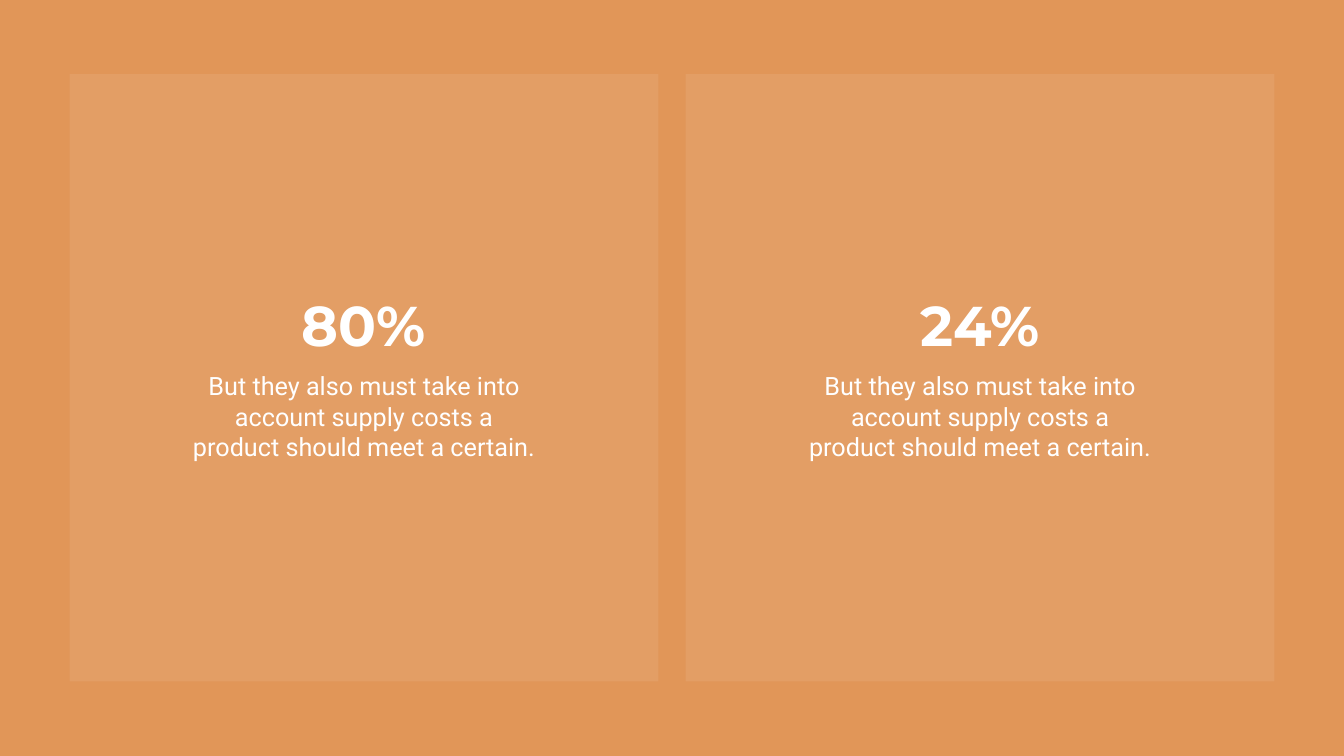
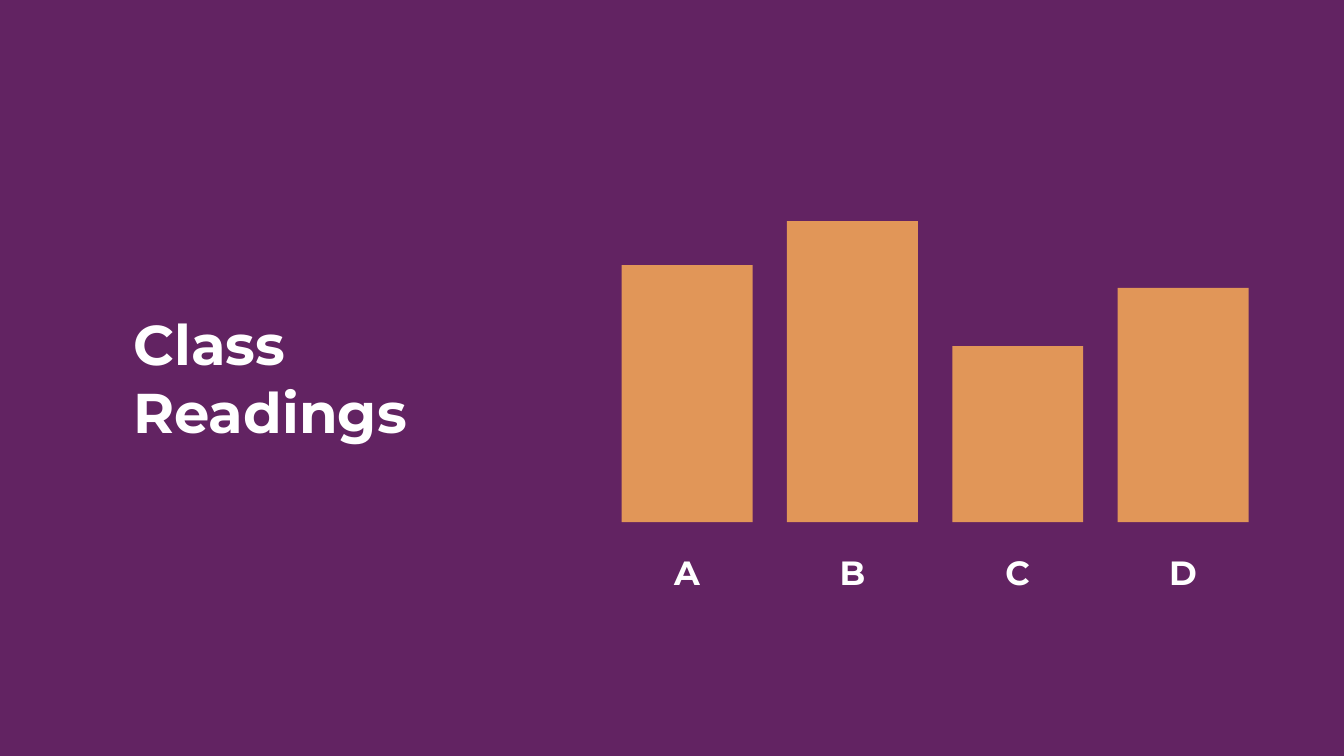
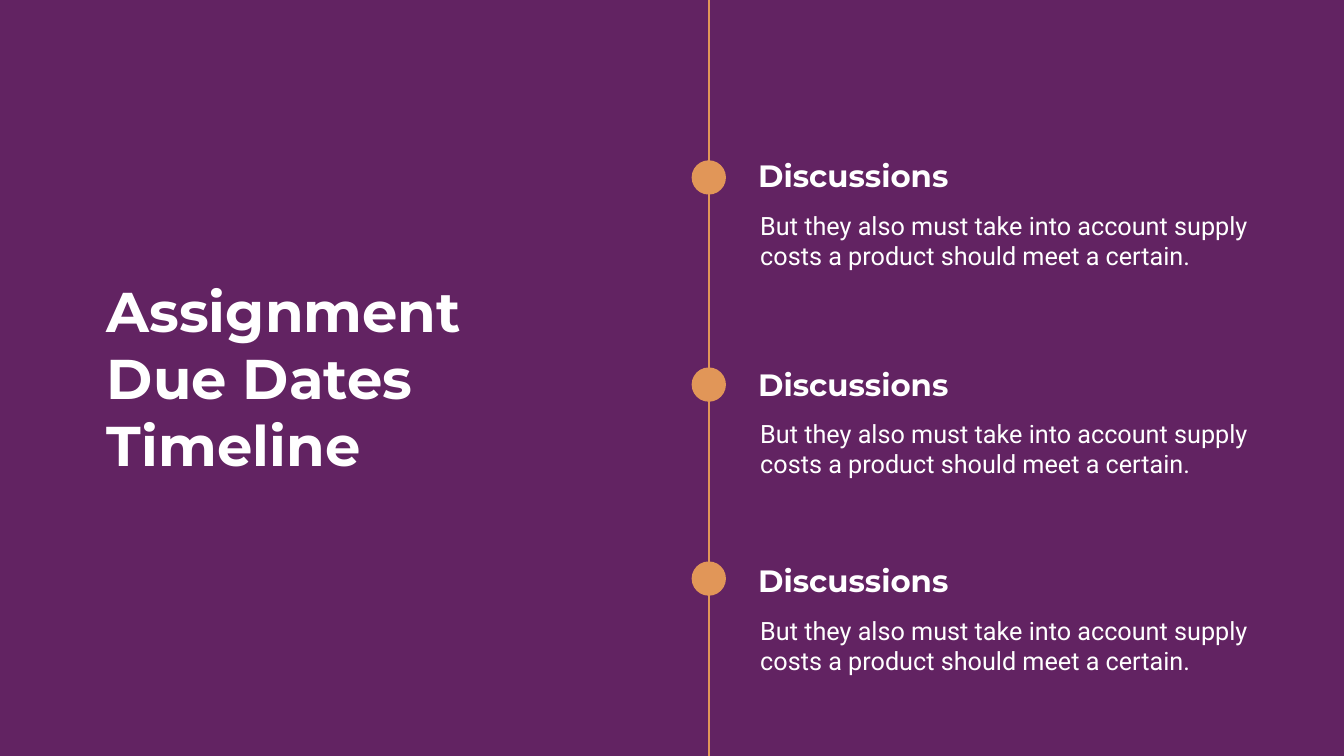
from dataclasses import dataclass

from lxml.etree import SubElement
from pptx import Presentation
from pptx.dml.color import RGBColor
from pptx.enum.shapes import MSO_CONNECTOR, MSO_SHAPE
from pptx.enum.text import MSO_ANCHOR, MSO_AUTO_SIZE, PP_ALIGN
from pptx.oxml.ns import qn
from pptx.util import Pt

W, H = 1919.52, 1080
TITLE_ONLY, BLANK = 5, 6
BLURB = ("But they also must take into account supply costs "
         "a product should meet a certain.")


@dataclass(frozen=True)
class Theme:
    orange: RGBColor = RGBColor(0xE1, 0x96, 0x58)
    purple: RGBColor = RGBColor(0x62, 0x23, 0x62)
    card: RGBColor = RGBColor(0xED, 0xC0, 0x9B)
    white: RGBColor = RGBColor(0xFF, 0xFF, 0xFF)
    head_font: str = "Montserrat"
    body_font: str = "Roboto"
    title: int = 80
    label: int = 48
    heading: int = 44
    body: int = 36
    body_leading: int = 43


T = Theme()


def new_slide(prs, color, layout):
    s = prs.slides.add_slide(prs.slide_layouts[layout])
    s.background.fill.solid()
    s.background.fill.fore_color.rgb = color
    return s


def write(tf, text, size, font=T.head_font, bold=True, align=PP_ALIGN.LEFT):
    tf.word_wrap = True
    tf.auto_size = MSO_AUTO_SIZE.NONE
    tf.vertical_anchor = MSO_ANCHOR.TOP
    p = tf.paragraphs[0]
    p.alignment = align
    r = p.add_run()
    r.text = text
    r.font.name, r.font.size, r.font.bold = font, Pt(size), bold
    r.font.color.rgb = T.white
    return p


def add_text(s, box, text, size, align=PP_ALIGN.LEFT):
    sp = s.shapes.add_textbox(*map(Pt, box))
    write(sp.text_frame, text, size, align=align)


def add_body(s, box, text, align=PP_ALIGN.LEFT):
    tf = s.shapes.add_textbox(*map(Pt, box)).text_frame
    tf.margin_left = tf.margin_right = Pt(17.28)
    tf.margin_top = tf.margin_bottom = Pt(8.64)
    p = write(tf, text, T.body, T.body_font, False, align)
    p.line_spacing = Pt(T.body_leading)


def add_title(s, box, text):
    sp = s.shapes.title
    sp.left, sp.top, sp.width, sp.height = map(Pt, box)
    write(sp.text_frame, text, T.title)


def add_solid(s, kind, box, color, alpha=None):
    sp = s.shapes.add_shape(kind, *map(Pt, box))
    sp.shadow.inherit = False
    sp.line.fill.background()
    sp.fill.solid()
    sp.fill.fore_color.rgb = color
    if alpha is not None:
        clr = sp.fill._xPr.find(".//" + qn("a:srgbClr"))
        SubElement(clr, qn("a:alpha"), val=str(alpha * 1000))


def stat_card(s, box, figure, text):
    x, y, w, _ = box
    figure_w, text_w = 579.6, 527
    add_solid(s, MSO_SHAPE.RECTANGLE, box, T.card, alpha=20)
    add_text(s, (x + (w - figure_w) / 2, y + 305.3, figure_w, 104.4),
             figure, T.title, PP_ALIGN.CENTER)
    add_body(s, (x + (w - text_w) / 2, y + 415.4, text_w, 147.6),
             text, PP_ALIGN.CENTER)


def stats_slide(prs):
    s = new_slide(prs, T.orange, BLANK)
    for i, figure in enumerate(("80%", "24%")):
        stat_card(s, (99.36 + i * 879.84, 105.84, 841, 867.6), figure, BLURB)


def bars(s, box, heights):
    """Bars stand on the bottom of the box, with their labels below it."""
    x, y, w, h = box
    bar_w, label_w = 187, 136
    pitch = (w - bar_w) / (len(heights) - 1)
    base = y + h
    for i, (label, bar_h) in enumerate(heights.items()):
        left = x + i * pitch
        add_solid(s, MSO_SHAPE.RECTANGLE,
                  (left, base - bar_h, bar_w, bar_h), T.orange)
        add_text(s, (left + (bar_w - label_w) / 2, base + 38.9, label_w, 65.5),
                 label, T.label, PP_ALIGN.CENTER)


def readings_slide(prs):
    s = new_slide(prs, T.purple, TITLE_ONLY)
    add_title(s, (182.9, 439.2, 501, 200.9), "Class Readings")
    bars(s, (887.76, 316.1, 895.5, 429.8),
         {"A": 367.2, "B": 429.8, "C": 251.3, "D": 334.8})


def timeline(s, box, entries):
    """Each entry gives the tops of its dot and heading, and its texts."""
    x, y, w, h = box
    dot = 49
    axis = x + dot / 2
    line = s.shapes.add_connector(MSO_CONNECTOR.STRAIGHT, Pt(axis), Pt(y),
                                  Pt(axis), Pt(y + h))
    line.line.color.rgb = T.orange
    line.line.width = Pt(3)
    SubElement(line._element.spPr, qn("a:effectLst"))
    text_x = x + 80.7
    for dot_y, head_y, heading, text in entries:
        add_solid(s, MSO_SHAPE.OVAL, (x, y + dot_y, dot, dot), T.orange)
        add_text(s, (text_x + 7.2, y + head_y, 343.4, 60.5),
                 heading, T.heading)
        add_body(s, (text_x, y + head_y + 71, x + w - text_x, 104.4), text)


def due_dates_slide(prs):
    s = new_slide(prs, T.purple, TITLE_ONLY)
    add_title(s, (145.4, 391, 681.8, 298), "Assignment Due Dates Timeline")
    tops = ((229, 220.3), (524.9, 518.4), (802, 799.2))
    timeline(s, (987.8, 0, 843.9, H),
             [(*pair, "Discussions", BLURB) for pair in tops])


def main():
    prs = Presentation()
    prs.slide_width, prs.slide_height = Pt(W), Pt(H)
    stats_slide(prs)
    readings_slide(prs)
    due_dates_slide(prs)
    prs.save("out.pptx")


if __name__ == "__main__":
    main()
